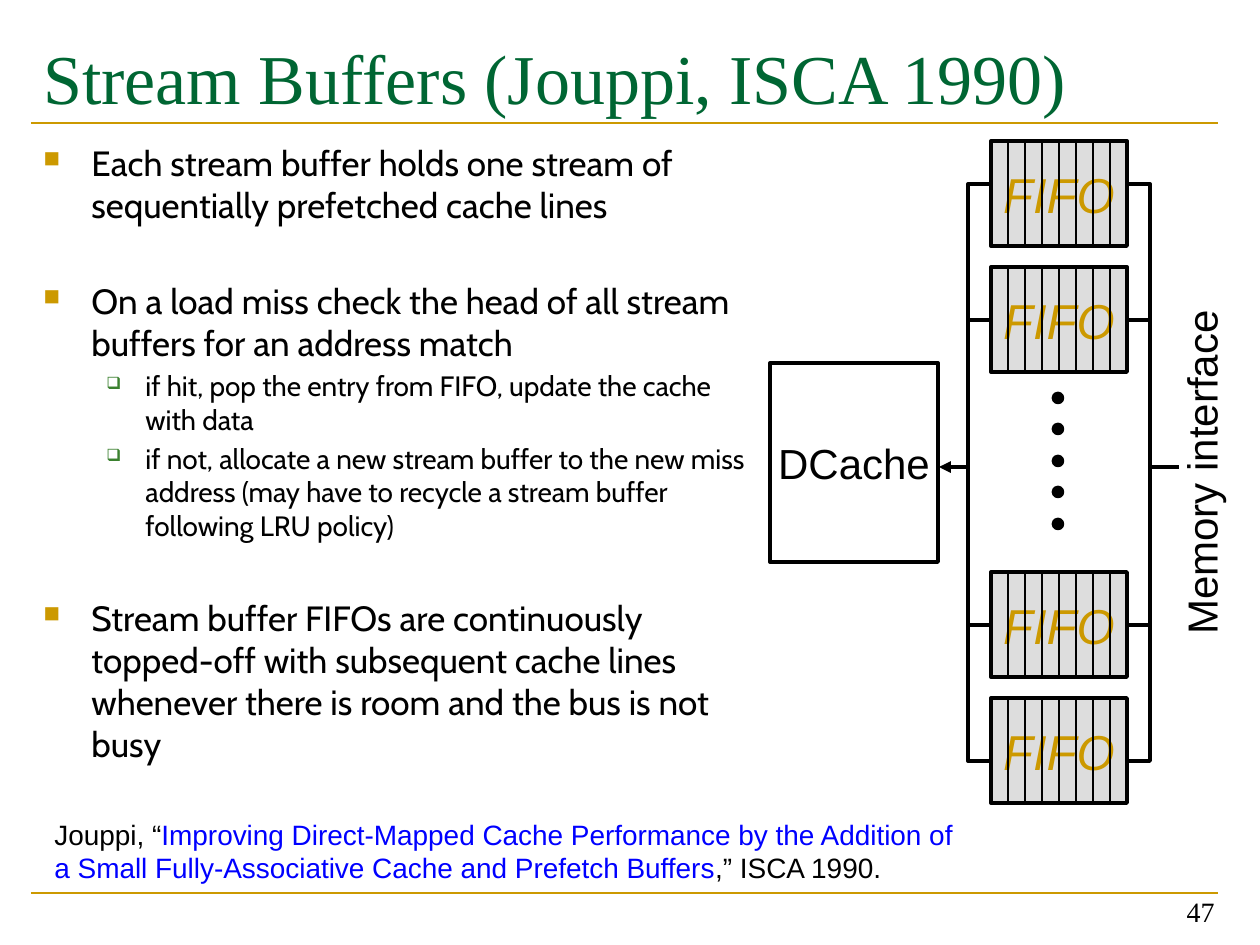
from lxml import etree
from pptx import Presentation
from pptx.dml.color import RGBColor
from pptx.enum.shapes import MSO_CONNECTOR, MSO_SHAPE
from pptx.enum.text import MSO_ANCHOR, PP_ALIGN
from pptx.oxml.ns import qn
from pptx.util import Pt

EMU_PER_PX = 914400 / 126
STRAIGHT = MSO_CONNECTOR.STRAIGHT
RECTANGLE, OVAL = MSO_SHAPE.RECTANGLE, MSO_SHAPE.OVAL
TOP, MIDDLE, BOTTOM = MSO_ANCHOR.TOP, MSO_ANCHOR.MIDDLE, MSO_ANCHOR.BOTTOM
LEFT, CENTER, RIGHT = PP_ALIGN.LEFT, PP_ALIGN.CENTER, PP_ALIGN.RIGHT

BLACK = RGBColor(0x00, 0x00, 0x00)
WHITE = RGBColor(0xFF, 0xFF, 0xFF)
GOLD = RGBColor(0xCC, 0x99, 0x00)
GREEN = RGBColor(0x00, 0x66, 0x33)
LEAF = RGBColor(0x3B, 0x81, 0x2F)
GRAY = RGBColor(0xDD, 0xDD, 0xDD)
BLUE = RGBColor(0x00, 0x00, 0xFF)
SERIF, SANS, BODY = "Times New Roman", "Arial", "Cabin"

# Bullet levels: text size, indent, hanging width, space before, mark, mark colour, mark percent
LEVELS = [(20, 48, 48, 4, "■", GOLD, 65), (16, 102, 39, 3, "❑", LEAF, 60)]
SECTION_GAP = 31
POINTS = [
    (0, False, "Each stream buffer holds one stream of sequentially prefetched cache lines"),
    (0, True, "On a load miss check the head of all stream buffers for an address match"),
    (1, False, "if hit, pop the entry from FIFO, update the cache with data"),
    (1, False, "if not, allocate a new stream buffer to the new miss address "
               "(may have to recycle a stream buffer following LRU policy)"),
    (0, True, "Stream buffer FIFOs are continuously topped-off with subsequent cache "
              "lines whenever there is room and the bus is not busy"),
]
CITATION = [
    ("Jouppi, “", BLACK),
    ("Improving Direct-Mapped Cache Performance by the Addition of a Small "
     "Fully-Associative Cache and Prefetch Buffers", BLUE),
    (",” ISCA 1990.", BLACK),
]


def px(length):
    """Turn picture pixels into EMU."""
    return round(length * EMU_PER_PX)


def add_run(paragraph, text, size, face, color, italic=False):
    """Append a formatted run."""
    run = paragraph.add_run()
    run.text = text
    run.font.color.rgb = color
    for name, value in {"size": Pt(size), "name": face, "italic": italic}.items():
        setattr(run.font, name, value)


def format_frame(frame, anchor=TOP, wrap=True, align=LEFT):
    """Set anchor, wrapping and alignment; return the first paragraph."""
    for name, value in {"vertical_anchor": anchor, "word_wrap": wrap}.items():
        setattr(frame, name, value)
    frame.paragraphs[0].alignment = align
    return frame.paragraphs[0]


def add_text(parent, box, **frame_format):
    """Add a text box; return it with its first paragraph."""
    label = parent.add_textbox(*map(px, box))
    return label, format_frame(label.text_frame, **frame_format)


def add_line(parent, start, end, color=BLACK, width=2.25, arrow=False):
    """Draw a straight line, optionally with an arrowhead at its end."""
    line = parent.add_connector(STRAIGHT, *map(px, start + end))
    line.line.color.rgb = color
    line.line.width = Pt(width)
    properties = line.line._get_or_add_ln()
    if arrow:
        etree.SubElement(properties, qn("a:tailEnd"), type="triangle")
    etree.SubElement(line._element.spPr, qn("a:effectLst"))


def add_block(parent, kind, box, fill, width=2.25):
    """Add a filled, black-outlined preset shape."""
    block = parent.add_shape(kind, *map(px, box))
    block.shadow.inherit = False
    block.fill.solid()
    block.fill.fore_color.rgb = fill
    block.line.color.rgb = BLACK
    block.line.width = Pt(width)
    return block


def set_bullet(paragraph, level, new_section):
    """Give a paragraph the indent, spacing and mark of its level."""
    _, indent, hanging, before, mark, color, percent = LEVELS[level]
    paragraph.level = level
    paragraph.space_before = Pt(SECTION_GAP if new_section else before)
    properties = paragraph._p.get_or_add_pPr()
    properties.set("marL", str(px(indent)))
    properties.set("indent", str(-px(hanging)))
    tint = etree.SubElement(properties, qn("a:buClr"))
    etree.SubElement(tint, qn("a:srgbClr"), val=str(color))
    etree.SubElement(properties, qn("a:buSzPct"), val=str(percent * 1000))
    etree.SubElement(properties, qn("a:buChar"), char=mark)


def add_page_frame(shapes, box):
    """Place rules, title and page number in the page box."""
    left, top, width, height = box
    for y in (top + 102, top + height):
        add_line(shapes, (left, y), (left + width, y), GOLD, 1.5)
    title, heading = add_text(shapes, (left, top, width, 147))
    title.text_frame.margin_top = px(14)
    add_run(heading, "Stream Buffers (Jouppi, ISCA 1990)", 40, SERIF, GREEN)
    _, number = add_text(shapes, (left + width - 285, top + height - 22, 294, 63),
                         anchor=BOTTOM, align=RIGHT)
    add_run(number, "47", 16, SERIF, BLACK)


def add_points(shapes, box):
    """Place the bulleted list."""
    body, paragraph = add_text(shapes, box)
    for index, (level, new_section, text) in enumerate(POINTS):
        if index:
            paragraph = body.text_frame.add_paragraph()
        set_bullet(paragraph, level, new_section)
        add_run(paragraph, text, LEVELS[level][0], BODY, BLACK)


def add_fifo(shapes, box):
    """Draw one FIFO divided into eight equal entries."""
    left, top, width, height = box
    fifo = shapes.add_group_shape().shapes
    queue = add_block(fifo, RECTANGLE, box, GRAY)
    name = format_frame(queue.text_frame, MIDDLE, False, CENTER)
    add_run(name, "FIFO", 28, SANS, GOLD, italic=True)
    for entry in range(1, 8):
        x = left + entry * width // 8
        add_line(fifo, (x, top), (x, top + height), width=1.5)


def add_bus(shapes, inner, outer, far, top, arrow=False):
    """Draw a bracket joining the FIFOs, with one line out to the far side."""
    bus = shapes.add_group_shape().shapes
    bottom = top + 577
    pen = bus.build_freeform(px(inner), px(top), scale=1.0)
    pen.add_line_segments([(px(x), px(y)) for x, y in
                           ((outer, top), (outer, bottom), (inner, bottom))], close=False)
    bracket = pen.convert_to_shape()
    bracket.shadow.inherit = False
    bracket.fill.background()
    bracket.line.color.rgb = BLACK
    bracket.line.width = Pt(2.25)
    for y in (top + 441, top + 136):
        add_line(bus, (outer, y), (inner, y))
    add_line(bus, (outer, top + 283), (far, top + 283), arrow=arrow)


def add_diagram(shapes, box):
    """Draw the data cache, the stream buffers and the memory interface."""
    left, top, width, height = box
    for offset in (0, 126, 431, 557):
        add_fifo(shapes, (left + 221, top + offset, 136, 105))
    add_bus(shapes, left + 221, left + 198, left + 169, top + 43, arrow=True)
    cache = add_block(shapes, RECTANGLE, (left, top + 222, 168, 199), WHITE)
    name = format_frame(cache.text_frame, MIDDLE, False, CENTER)
    add_run(name, "DCache", 24, SANS, BLACK)
    for dot in range(5):
        add_block(shapes, OVAL, (left + 283, top + 252 + dot * 63 // 2, 10, 10), BLACK, 1.5)
    add_bus(shapes, left + 357, left + 380, left + 409, top + 43)
    memory, label = add_text(shapes, (left + width - 201, top + height // 2 - 31, 350, 63),
                             wrap=False, align=CENTER)
    memory.rotation = 270
    add_run(label, "Memory interface", 24, SANS, BLACK)


def add_citation(shapes, box):
    """Place the reference line."""
    _, reference = add_text(shapes, box)
    for text, color in CITATION:
        add_run(reference, text, 16, SANS, color)


def main():
    """Build and save the slide."""
    deck = Presentation()
    deck.slide_width, deck.slide_height = px(1260), px(945)
    shapes = deck.slides.add_slide(deck.slide_layouts[6]).shapes
    add_page_frame(shapes, (31, 21, 1187, 872))
    add_points(shapes, (31, 135, 735, 716))
    add_diagram(shapes, (770, 141, 457, 662))
    add_citation(shapes, (42, 811, 945, 81))
    deck.save("out.pptx")


main()
